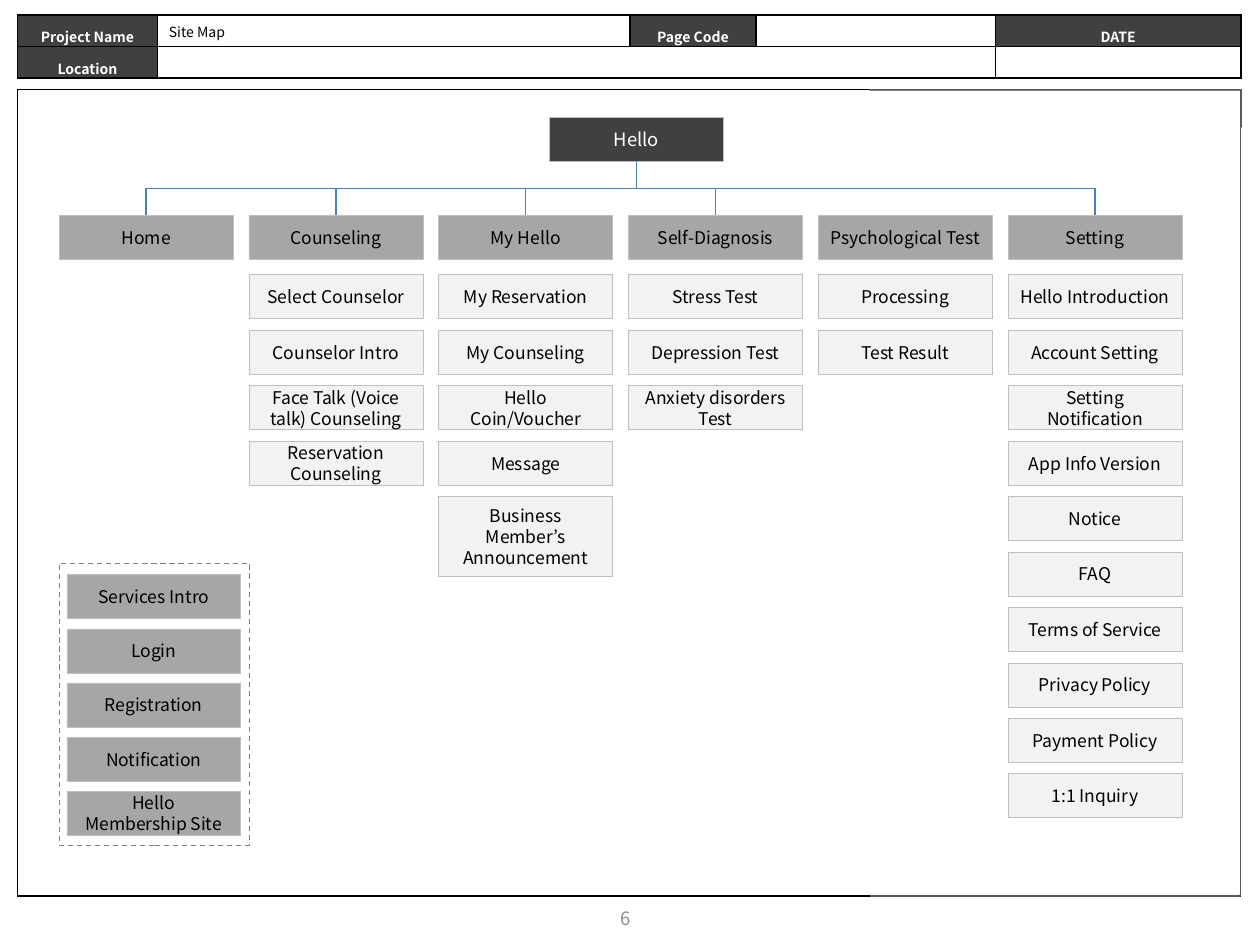
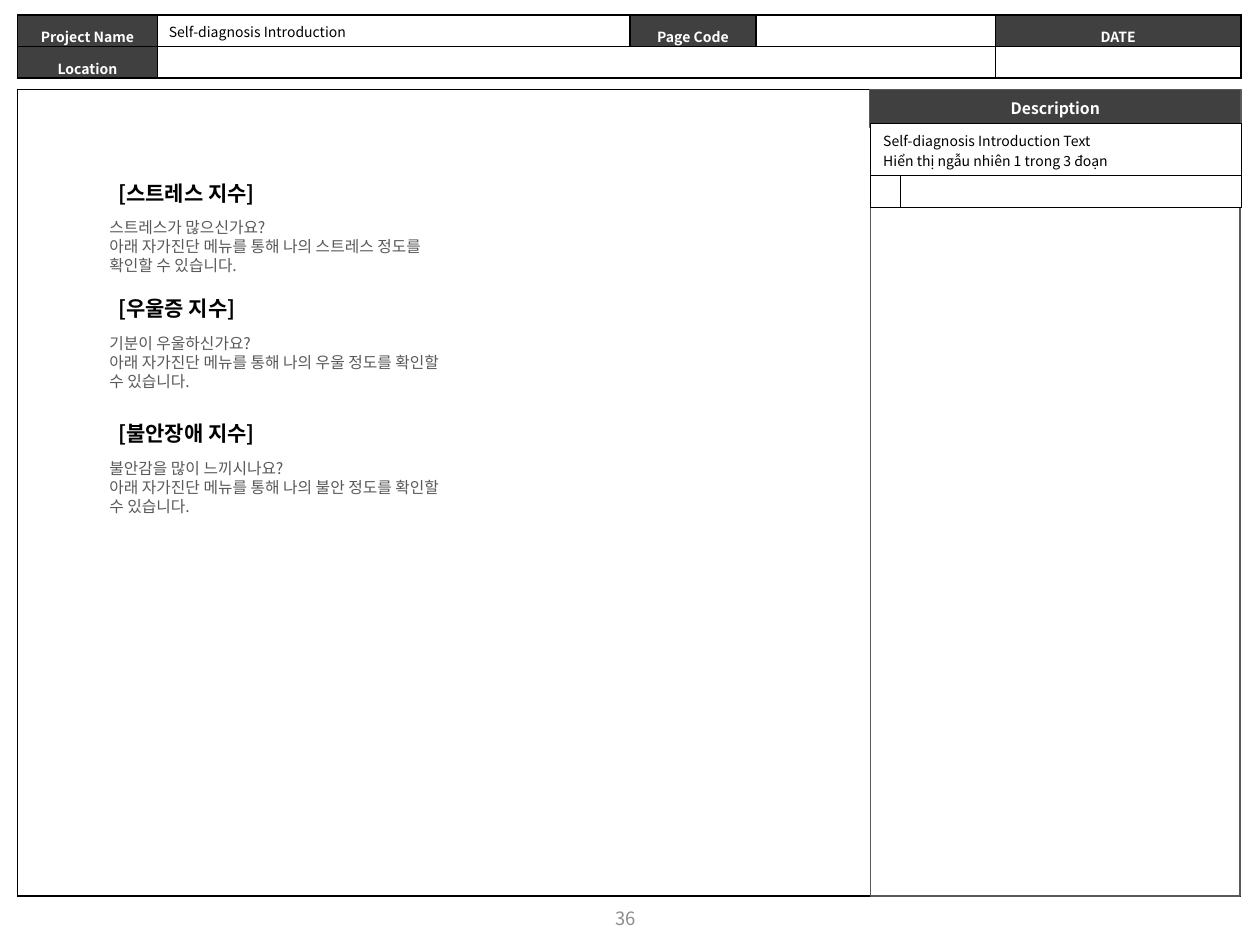
"""Build a site map slide and a self-diagnosis introduction slide."""
from lxml import etree
from pptx import Presentation
from pptx.dml.color import RGBColor
from pptx.enum.dml import MSO_LINE
from pptx.enum.shapes import MSO_CONNECTOR, MSO_SHAPE
from pptx.enum.text import MSO_ANCHOR, MSO_AUTO_SIZE, PP_ALIGN
from pptx.oxml.ns import qn
from pptx.util import Inches, Pt

RECTANGLE = MSO_SHAPE.RECTANGLE
ELBOW = MSO_CONNECTOR.ELBOW
DASH = MSO_LINE.DASH
TOP, MIDDLE = MSO_ANCHOR.TOP, MSO_ANCHOR.MIDDLE
LEFT, CENTER = PP_ALIGN.LEFT, PP_ALIGN.CENTER
NO_AUTOFIT = MSO_AUTO_SIZE.NONE

FONT = "Noto Sans CJK KR"
BLACK = RGBColor(0x00, 0x00, 0x00)
WHITE = RGBColor(0xFF, 0xFF, 0xFF)
CHARCOAL = RGBColor(0x40, 0x40, 0x40)
DARK_GRAY = RGBColor(0x59, 0x59, 0x59)
DASH_GRAY = RGBColor(0x80, 0x80, 0x80)
NUMBER_GRAY = RGBColor(0x8C, 0x8C, 0x8C)
MENU_GRAY = RGBColor(0xA6, 0xA6, 0xA6)
EDGE_GRAY = RGBColor(0xBF, 0xBF, 0xBF)
ITEM_GRAY = RGBColor(0xF2, 0xF2, 0xF2)
BLUE = RGBColor(0x4B, 0x7E, 0xBC)

HEADER_COLUMNS = [1.11, 3.75, 1, 1.9, 1.95]
HEADER_LABELS = {(0, 0): "Project Name", (0, 2): "Page Code", (0, 4): "DATE", (1, 0): "Location"}

ROOT = "Hello"
MENUS = [
    ("Home", []),
    ("Counseling", ["Select Counselor", "Counselor Intro",
                    "Face Talk (Voice talk) Counseling", "Reservation Counseling"]),
    ("My Hello", ["My Reservation", "My Counseling", "Hello Coin/Voucher", "Message",
                  "Business Member’s Announcement"]),
    ("Self-Diagnosis", ["Stress Test", "Depression Test", "Anxiety disorders Test"]),
    ("Psychological Test", ["Processing", "Test Result"]),
    ("Setting", ["Hello Introduction", "Account Setting", "Setting Notification",
                 "App Info Version", "Notice", "FAQ", "Terms of Service",
                 "Privacy Policy", "Payment Policy", "1:1 Inquiry"]),
]
UNLINKED_MENU = "Psychological Test"
TALL_ITEM = "Business Member’s Announcement"
COMMON_PAGES = ["Services Intro", "Login", "Registration", "Notification",
                "Hello\nMembership Site"]

DIAGNOSES = [
    (1.38, "[스트레스 지수]", "스트레스가 많으신가요?\n"
     "아래 자가진단 메뉴를 통해 나의 스트레스 정도를 확인할 수 있습니다."),
    (2.3, "[우울증 지수]", "기분이 우울하신가요?\n"
     "아래 자가진단 메뉴를 통해 나의 우울 정도를 확인할 수 있습니다."),
    (3.29, "[불안장애 지수]", "불안감을 많이 느끼시나요?\n"
     "아래 자가진단 메뉴를 통해 나의 불안 정도를 확인할 수 있습니다."),
]
DESCRIPTION = "Self-diagnosis Introduction Text\nHiển thị ngẫu nhiên 1 trong 3 đoạn"

BOX_WIDTH, BOX_HEIGHT, TALL_HEIGHT = 1.38, 0.35, 0.63
MENU_LEFT, MENU_TOP = 0.47, 1.71
MENU_PITCH = (8 - MENU_LEFT) / (len(MENUS) - 1)
ITEM_TOP, ITEM_PITCH = 2.18, 0.44
COMMON_LEFT, COMMON_TOP, COMMON_PITCH = 0.53, 4.56, 0.43


def write(frame, text, size=10, color=BLACK, bold=False, align=LEFT, spacing=None):
    """Write each line of text as a formatted paragraph."""
    for index, line in enumerate(text.split("\n")):
        paragraph = frame.add_paragraph() if index else frame.paragraphs[0]
        paragraph.alignment = align
        if spacing:
            paragraph.line_spacing = spacing
        run = paragraph.add_run()
        run.text = line
        font = run.font
        font.name, font.size, font.bold = FONT, Pt(size), bold
        font.color.rgb = color
        etree.SubElement(run._r.get_or_add_rPr(), qn("a:ea")).set("typeface", FONT)


def add_text(slide, text, left, top, width, height, wrap=True, anchor=TOP, **style):
    """Add a text box."""
    frame = slide.shapes.add_textbox(*map(Inches, (left, top, width, height))).text_frame
    frame.word_wrap = wrap
    frame.vertical_anchor = anchor
    write(frame, text, **style)


def add_box(slide, left, top, width=BOX_WIDTH, height=BOX_HEIGHT, text="", fill=None,
            line=EDGE_GRAY, line_width=0.25, **style):
    """Add a rectangle with optional fill, outline and centred text."""
    shape = slide.shapes.add_shape(RECTANGLE, *map(Inches, (left, top, width, height)))
    shape.shadow.inherit = False
    if fill is None:
        shape.fill.background()
    else:
        shape.fill.solid()
        shape.fill.fore_color.rgb = fill
    if line is None:
        shape.line.fill.background()
    else:
        shape.line.color.rgb = line
        shape.line.width = Pt(line_width)
    if text:
        shape.text_frame.vertical_anchor = MIDDLE
        write(shape.text_frame, text, align=CENTER, **style)
    return shape


def add_grid(slide, left, top, columns, rows, border):
    """Add a plain table with black borders and unfilled cells."""
    frame = slide.shapes.add_table(len(rows), len(columns), Inches(left), Inches(top),
                                   Inches(sum(columns)), Inches(sum(rows)))
    table = frame.table
    table.first_row = table.horz_banding = False
    for column, width in zip(table.columns, columns):
        column.width = Inches(width)
    for row, height in zip(table.rows, rows):
        row.height = Inches(height)
    for cell in table.iter_cells():
        properties = cell._tc.get_or_add_tcPr()
        for side in ("a:lnL", "a:lnR", "a:lnT", "a:lnB"):
            edge = etree.SubElement(properties, qn(side), w=str(Pt(border)))
            solid = etree.SubElement(edge, qn("a:solidFill"))
            etree.SubElement(solid, qn("a:srgbClr"), val=str(BLACK))
        cell.fill.background()
        cell.text_frame.paragraphs[0]._p.get_or_add_endParaRPr().set("sz", "800")
    return table


def add_header(slide):
    """Add the project header table."""
    table = add_grid(slide, 0.14, 0.12, HEADER_COLUMNS, [0.25, 0.25], 1)
    table.cell(1, 1).merge(table.cell(1, 3))
    for cell in table.iter_cells():
        cell.margin_left = cell.margin_right = cell.margin_top = Inches(0.04)
        cell.margin_bottom = 0
    for position, label in HEADER_LABELS.items():
        cell = table.cell(*position)
        cell.fill.solid()
        cell.fill.fore_color.rgb = CHARCOAL
        write(cell.text_frame, label, size=8, color=WHITE, bold=True, align=CENTER, spacing=1.3)


def add_page(presentation, title, title_width, number, panel_title=""):
    """Add a slide with the shared header, frame, side panel and page number."""
    slide = presentation.slides.add_slide(presentation.slide_layouts[5])
    placeholder = slide.shapes.title
    placeholder.left, placeholder.top = Inches(1.24), Inches(0.14)
    placeholder.width, placeholder.height = Inches(title_width), Inches(0.24)
    frame = placeholder.text_frame
    frame.auto_size, frame.word_wrap, frame.vertical_anchor = NO_AUTOFIT, False, TOP
    write(frame, title, size=8)
    add_grid(slide, 0.14, 0.71, [9.7], [6.4], 1)
    add_header(slide)
    add_box(slide, 6.91, 1, 2.93, 6.11, fill=WHITE, line=DARK_GRAY, line_width=1)
    add_box(slide, 6.9, 0.71, 2.95, 0.3, panel_title, CHARCOAL, DARK_GRAY, 1,
            size=9, color=WHITE, bold=True)
    add_text(slide, number, 3.8, 7.09, 2.33, 0.4, anchor=MIDDLE, size=10.5,
             color=NUMBER_GRAY, align=CENTER)
    return slide


def add_branch(slide, parent, child):
    """Join the bottom of the parent to the top of the child with an elbow."""
    start_x, start_y = parent.left + parent.width // 2, parent.top + parent.height
    end_x, end_y = child.left + child.width // 2, child.top
    connector = slide.shapes.add_connector(ELBOW, start_x, start_y, end_x, end_y)
    connector.begin_connect(parent, 2)
    connector.end_connect(child, 0)
    connector.line.color.rgb = BLUE
    connector.line.width = Pt(0.75)
    properties = connector._element.spPr
    etree.SubElement(properties, qn("a:effectLst"))
    length, spread = end_y - start_y, abs(end_x - start_x)
    connector.left = (start_x + end_x - length) // 2
    connector.top = (start_y + end_y - spread) // 2
    connector.width, connector.height = length, spread
    to_right = end_x > start_x
    transform = properties.find(qn("a:xfrm"))
    transform.set("rot", "16200000" if to_right else "5400000")
    transform.set("flipH", "1" if to_right else "0")


def build_site_map(presentation):
    """Build the menu tree and the group of common pages."""
    slide = add_page(presentation, "Site Map", 0.66, "6")
    add_box(slide, 0.19, 0.72, 9.65, 6.38, fill=WHITE, line=None)
    root = add_box(slide, 4.36, 0.93, text=ROOT, fill=CHARCOAL, size=10.5, color=WHITE)
    for column, (menu, items) in enumerate(MENUS):
        left = MENU_LEFT + column * MENU_PITCH
        menu_box = add_box(slide, left, MENU_TOP, text=menu, fill=MENU_GRAY)
        if menu != UNLINKED_MENU:
            add_branch(slide, root, menu_box)
        for row, item in enumerate(items):
            height = TALL_HEIGHT if item == TALL_ITEM else BOX_HEIGHT
            add_box(slide, left, ITEM_TOP + row * ITEM_PITCH, height=height,
                    text=item, fill=ITEM_GRAY)
    for row, page in enumerate(COMMON_PAGES):
        add_box(slide, COMMON_LEFT, COMMON_TOP + row * COMMON_PITCH, text=page, fill=MENU_GRAY)
    group = add_box(slide, 0.47, 4.47, 1.51, 2.24, line=DASH_GRAY, line_width=0.75)
    group.line.dash_style = DASH


def build_introduction(presentation):
    """Build the three diagnosis texts and the description table."""
    slide = add_page(presentation, "Self-diagnosis Introduction", 1.62, "36", "Description")
    for top, heading, body in DIAGNOSES:
        add_text(slide, heading, 0.84, top, 1.39, 0.3, wrap=False, size=12, bold=True)
        add_text(slide, body, 0.77, top + 0.3, 2.83, 0.56, size=9, color=DARK_GRAY)
    table = add_grid(slide, 6.91, 0.98, [0.23, 2.7], [0.41, 0.26], 0.5)
    for cell in table.iter_cells():
        cell.fill.solid()
        cell.fill.fore_color.rgb = WHITE
    table.cell(0, 0).merge(table.cell(0, 1))
    write(table.cell(0, 0).text_frame, DESCRIPTION, size=8)


def main():
    """Build and save the presentation."""
    presentation = Presentation()
    presentation.slide_width, presentation.slide_height = Inches(10), Inches(7.5)
    build_site_map(presentation)
    build_introduction(presentation)
    presentation.save("out.pptx")


if __name__ == "__main__":
    main()
